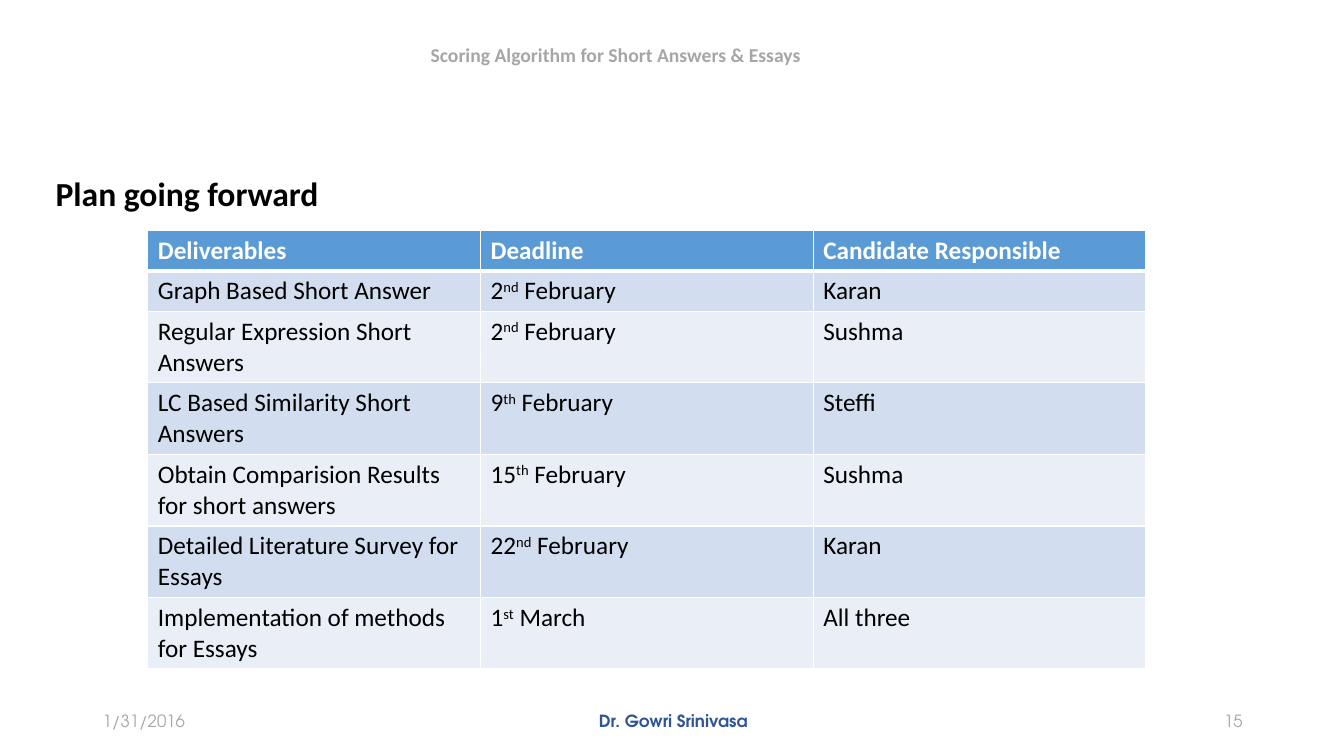
from lxml.etree import SubElement
from pptx import Presentation
from pptx.dml.color import RGBColor
from pptx.enum.text import MSO_ANCHOR, PP_ALIGN
from pptx.oxml.ns import qn
from pptx.util import Inches, Pt

W, H = Inches(13.33), Inches(7.5)
BODY_FONT, FOOTER_FONT = "Calibri", "TeX Gyre Adventor"
COLORS = {
    "black": "000000", "white": "FFFFFF", "grey": "A6A6A6", "navy": "2F5597",
    "header": "5B9BD5", "band_dark": "D2DEEF", "band_light": "EAEFF7",
}

# Each deadline is day, ordinal suffix, month
HEADINGS = ["Deliverables", "Deadline", "Candidate Responsible"]
PLAN = [
    ("Graph Based Short Answer", ("2", "nd", "February"), "Karan"),
    ("Regular Expression Short Answers", ("2", "nd", "February"), "Sushma"),
    ("LC Based Similarity Short Answers", ("9", "th", "February"), "Steffi"),
    ("Obtain Comparision Results for short answers", ("15", "th", "February"), "Sushma"),
    ("Detailed Literature Survey for Essays", ("22", "nd", "February"), "Karan"),
    ("Implementation of methods for Essays", ("1", "st", "March"), "All three"),
]


def rgb(name):
    return RGBColor.from_string(COLORS[name])


def style(p, size, color, bold=False, font=BODY_FONT):
    p.font.size, p.font.bold, p.font.name = Pt(size), bold, font
    p.font.color.rgb = rgb(color)


def add_text(s, text, box, size, color, bold=False, font=BODY_FONT, align=PP_ALIGN.LEFT):
    """Place one line of text; box holds shares of the slide's size."""
    x, y, w, h = box
    tf = s.shapes.add_textbox(int(x * W), int(y * H), int(w * W), int(h * H)).text_frame
    tf.word_wrap = True
    tf.vertical_anchor = MSO_ANCHOR.MIDDLE
    p = tf.paragraphs[0]
    p.text, p.alignment = text, align
    style(p, size, color, bold, font)


def add_borders(cell, top, bottom):
    tcPr = cell._tc.get_or_add_tcPr()
    for side, width in (("L", 1), ("R", 1), ("T", top), ("B", bottom)):
        ln = SubElement(tcPr, qn(f"a:ln{side}"), w=str(Pt(width)))
        fill = SubElement(ln, qn("a:solidFill"))
        SubElement(fill, qn("a:srgbClr"), val=COLORS["white"])


def write_date(p, day, suffix, month):
    for text in (day, suffix, f" {month}"):
        r = p.add_run()
        r.text = text
        if text == suffix:
            r.font._element.set("baseline", "30000")


def add_plan_table(s):
    rows = [HEADINGS, *PLAN]
    table = s.shapes.add_table(len(rows), len(HEADINGS), int(0.11 * W), int(0.305 * H),
                               Inches(9.9), Inches(4.35)).table
    for column in table.columns:
        column.width = Inches(3.3)
    for i, values in enumerate(rows):
        # The first two rows hold one line, the others two
        table.rows[i].height = Inches(0.4 if i < 2 else 0.71)
        band = "header" if i == 0 else "band_dark" if i % 2 else "band_light"
        for j, value in enumerate(values):
            cell = table.cell(i, j)
            add_borders(cell, 3 if i == 1 else 1, 3 if i == 0 else 1)
            cell.fill.solid()
            cell.fill.fore_color.rgb = rgb(band)
            p = cell.text_frame.paragraphs[0]
            if isinstance(value, tuple):
                write_date(p, *value)
            else:
                p.text = value
            style(p, 18, "white" if i == 0 else "black", bold=i == 0)


def add_footer(s):
    y, h = 0.927, 0.053
    add_text(s, "1/31/2016", (0.069, y, 0.225, h), 12, "grey", font=FOOTER_FONT)
    add_text(s, "Dr. Gowri Srinivasa", (0.332, y, 0.338, h), 12, "navy", True,
             FOOTER_FONT, PP_ALIGN.CENTER)
    add_text(s, "15", (0.707, y, 0.225, h), 12, "grey", font=FOOTER_FONT, align=PP_ALIGN.RIGHT)


def main():
    prs = Presentation()
    prs.slide_width, prs.slide_height = W, H
    s = prs.slides.add_slide(prs.slide_layouts[6])

    # Headings
    add_text(s, "Scoring Algorithm for Short Answers & Essays",
             (0.313, 0.035, 0.448, 0.075), 14, "grey", True)
    add_text(s, "Plan going forward", (0.034, 0.215, 0.5, 0.08), 24, "black", True)

    # Schedule and footer
    add_plan_table(s)
    add_footer(s)
    prs.save("out.pptx")


if __name__ == "__main__":
    main()
